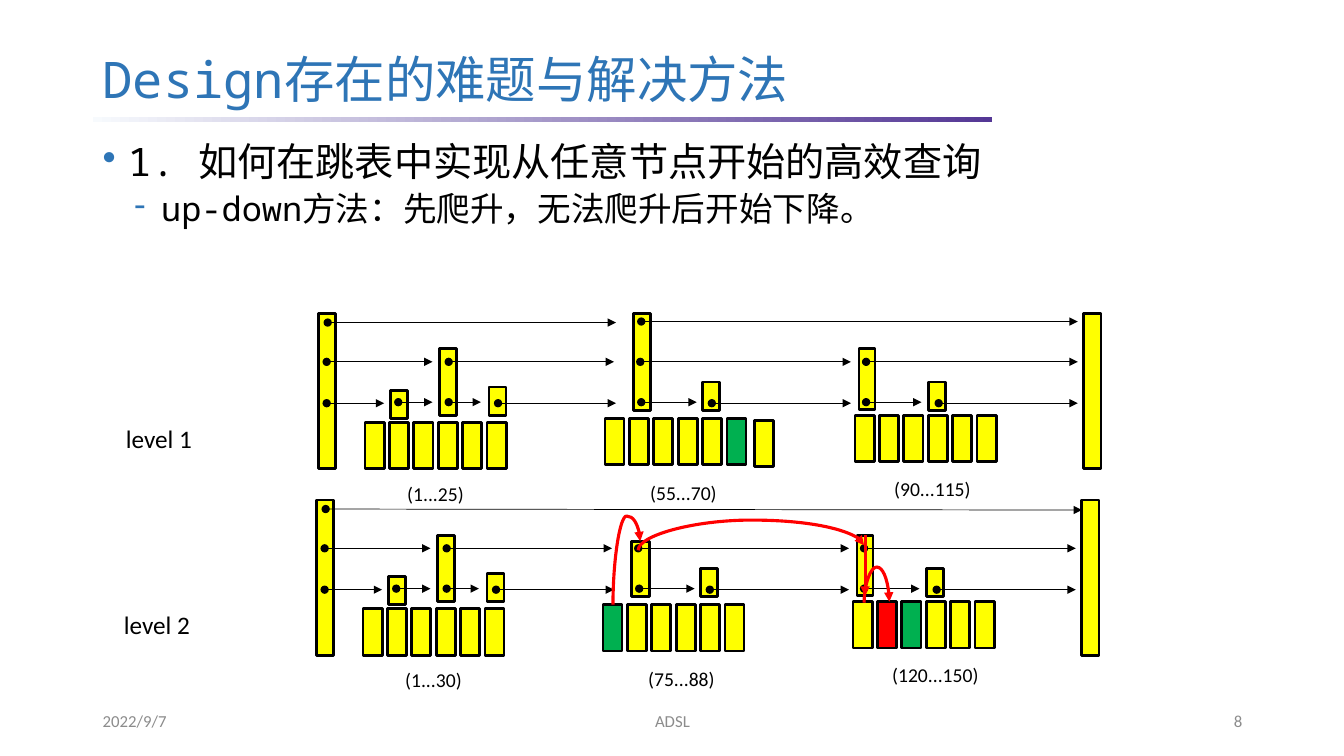
from dataclasses import dataclass

from lxml.etree import SubElement
from pptx import Presentation
from pptx.dml.color import RGBColor
from pptx.enum.lang import MSO_LANGUAGE_ID as Language
from pptx.enum.shapes import MSO_CONNECTOR as Connector, MSO_SHAPE as Preset
from pptx.enum.text import MSO_ANCHOR as Anchor, PP_ALIGN as Align
from pptx.oxml.ns import qn
from pptx.util import Inches, Pt

COLORS = {
    "title": "2E75B6", "text": "000000", "footer": "8C8C8C", "line": "000000",
    "fade": "F7FAFD", "rule": "543795",
    "yellow": "FFFF00", "green": "00B050", "red": "FF0000",
}
MONO, SANS = "Noto Sans Mono", "Calibri"
BLOCK_WIDTH, BLOCK_HEIGHT, BLOCK_PITCH = 0.19, 0.46, 0.242


@dataclass
class Box:
    left: float
    top: float
    width: float
    height: float


@dataclass
class Blocks:
    """A row of six data blocks; colored maps an index to its fill."""
    left: float
    top: float
    label: str
    label_box: Box
    colored: dict[int, str]


@dataclass
class Arrow:
    start_x: float
    end_x: float
    y: float
    drop: float = 0


@dataclass
class Level:
    name: str
    dx: float
    dy: float
    blocks: list[Blocks]
    towers: list[Box]
    arrows: list[Arrow]


@dataclass
class Jump:
    """A curve that climbs from start to peak and comes down at end."""
    start: tuple[float, float]
    end: tuple[float, float]
    peak: float


# Towers and links that both levels share, in level 1 coordinates
SHARED_TOWERS = [
    Box(3.16, 3.11, 0.17, 1.54), Box(10.75, 3.11, 0.17, 1.54),
    Box(4.36, 3.46, 0.17, 0.66), Box(3.87, 3.87, 0.17, 0.28),
    Box(4.85, 3.84, 0.17, 0.28), Box(6.97, 3.79, 0.17, 0.28),
    Box(9.21, 3.79, 0.17, 0.28), Box(8.52, 3.46, 0.16, 0.6),
]
SHARED_LINKS = {
    3.59: [(3.24, 4.29), (4.45, 6.09), (6.35, 8.44), (8.59, 10.69)],
    4.0: [(3.24, 3.81), (4.94, 6.11), (7.06, 8.44), (9.31, 10.69)],
    3.99: [(3.95, 4.29), (4.45, 4.77), (6.36, 6.91), (8.59, 9.14)],
}
SHARED_ARROWS = [Arrow(*span, y) for y, spans in SHARED_LINKS.items() for span in spans]

LEVELS = [
    Level("level 1", 0, 0, [
        Blocks(3.62, 4.19, "(1...25)", Box(3.94, 4.73, 0.88, 0.34), {}),
        Blocks(6, 4.15, "(55...70)", Box(6.35, 4.72, 0.88, 0.34), {5: "green"}),
        Blocks(8.48, 4.12, "(90...115)", Box(8.77, 4.68, 1.02, 0.34), {}),
    ], [Box(6.28, 3.11, 0.17, 0.96)],
        [Arrow(3.25, 6.11, 3.2), Arrow(6.36, 10.69, 3.19)]),
    Level("level 2", -0.02, 1.85, [
        Blocks(3.62, 4.19, "(1...30)", Box(3.94, 4.73, 0.88, 0.34), {}),
        Blocks(6, 4.15, "(75...88)", Box(6.35, 4.72, 0.88, 0.34), {0: "green"}),
        Blocks(8.48, 4.12, "(120...150)", Box(8.77, 4.68, 1.12, 0.34),
               {1: "red", 2: "green"}),
    ], [Box(6.28, 3.52, 0.18, 0.55)], [Arrow(3.25, 10.75, 3.2, 0.01)]),
]
JUMPS = [
    Jump((6.08, 6), (6.35, 5.37), 5.12),
    Jump((6.33, 5.46), (8.57, 5.41), 5.16),
    Jump((8.57, 5.98), (8.82, 5.97), 5.62),
]

presentation = Presentation()
presentation.slide_width, presentation.slide_height = Inches(13.33), Inches(7.5)
slide = presentation.slides.add_slide(presentation.slide_layouts[6])


def rgb(name: str) -> RGBColor:
    return RGBColor.from_string(COLORS[name])


def lengths(box: Box, dx: float = 0, dy: float = 0) -> list[int]:
    return [Inches(v) for v in (box.left + dx, box.top + dy, box.width, box.height)]


def add_text(box: Box, lines: list[str], sizes: list[int], font: str, color: str,
             align=Align.LEFT, anchor=Anchor.TOP, dx: float = 0, dy: float = 0):
    text_frame = slide.shapes.add_textbox(*lengths(box, dx, dy)).text_frame
    text_frame.text = "\n".join(lines)
    text_frame.word_wrap = True
    text_frame.vertical_anchor = anchor
    for paragraph, size in zip(text_frame.paragraphs, sizes):
        paragraph.alignment = align
        run_font = paragraph.runs[0].font
        run_font.name, run_font.size = font, Pt(size)
        run_font.color.rgb = rgb(color)
        run_font.language_id = Language.SIMPLIFIED_CHINESE
    return text_frame


def add_bullet(paragraph, mark: str, margin: float) -> None:
    properties = paragraph._p.get_or_add_pPr()
    properties.set("marL", str(Inches(margin)))
    properties.set("indent", str(Inches(-0.27)))
    color = SubElement(properties, qn("a:buClr"))
    SubElement(color, qn("a:srgbClr"), val=COLORS["title"])
    SubElement(properties, qn("a:buChar"), char=mark)


def add_bar(box: Box, color: str = "yellow", dx: float = 0, dy: float = 0):
    shape = slide.shapes.add_shape(Preset.RECTANGLE, *lengths(box, dx, dy))
    shape.shadow.inherit = False
    shape.fill.solid()
    shape.fill.fore_color.rgb = rgb(color)
    shape.line.color.rgb = rgb("line")
    shape.line.width = Pt(2)
    return shape


def add_line(kind, start: tuple[float, float], end: tuple[float, float],
             color: str, width: float, dot: bool = False):
    connector = slide.shapes.add_connector(kind, *map(Inches, (*start, *end)))
    connector.line.color.rgb = rgb(color)
    connector.line.width = Pt(width)
    line = connector.line._get_or_add_ln()
    if dot:
        SubElement(line, qn("a:headEnd"), type="oval")
    SubElement(line, qn("a:tailEnd"), type="triangle")
    SubElement(connector._element.spPr, qn("a:effectLst"))
    return connector


def add_jump(jump: Jump) -> None:
    (x1, y1), (x2, y2) = jump.start, jump.end
    run, rise = x2 - x1, y1 - y2
    # The curve lies on its side before it is turned by 90 degrees
    left, top = (x1 + x2 - rise) / 2, (y1 + y2 - run) / 2
    connector = add_line(Connector.CURVE, (left, top), (left + rise, top + run), "red", 2.25)
    properties = connector._element.spPr
    for name, value in (("rot", "5400000"), ("flipH", "1"), ("flipV", "1")):
        properties.find(qn("a:xfrm")).set(name, value)
    bend = round((y1 - jump.peak) / rise * 100000)
    guides = properties.find(qn("a:prstGeom")).find(qn("a:avLst"))
    SubElement(guides, qn("a:gd"), name="adj1", fmla=f"val {bend}")


def add_level(level: Level):
    """Draw one skip list level and return its last tower."""
    dx, dy = level.dx, level.dy
    add_text(Box(1.15, 4.15, 0.88, 0.4), [level.name], [18], SANS, "text", dx=dx, dy=dy)
    for row in level.blocks:
        add_text(row.label_box, [row.label], [14], SANS, "text", dx=dx, dy=dy)
        for index in range(6):
            block = Box(row.left + index * BLOCK_PITCH, row.top, BLOCK_WIDTH, BLOCK_HEIGHT)
            add_bar(block, row.colored.get(index, "yellow"), dx, dy)
    towers = [add_bar(tower, dx=dx, dy=dy) for tower in level.towers + SHARED_TOWERS]
    for arrow in level.arrows + SHARED_ARROWS:
        add_line(Connector.STRAIGHT, (arrow.start_x + dx, arrow.y + dy),
                 (arrow.end_x + dx, arrow.y + dy + arrow.drop), "line", 0.5, dot=True)
    return towers[-1]


# Title and its gradient rule
rule = slide.shapes.add_shape(Preset.RECTANGLE, *lengths(Box(0.92, 1.16, 8.92, 0.05)))
rule.shadow.inherit = False
rule.line.fill.background()
rule.fill.gradient()
rule.fill.gradient_angle = 0
for stop, name in zip(rule.fill.gradient_stops, ("fade", "rule")):
    stop.color.rgb = rgb(name)
title = add_text(Box(0.92, 0.47, 8.81, 0.69), ["Design存在的难题与解决方法"], [36],
                 MONO, "title", anchor=Anchor.MIDDLE)
title.paragraphs[0].line_spacing = 0.9

# Bulleted text
body = add_text(Box(0.92, 1.37, 11.5, 5.4),
                ["1. 如何在跳表中实现从任意节点开始的高效查询",
                 "up-down方法：先爬升，无法爬升后开始下降。"], [28, 24], MONO, "text")
for paragraph, mark, margin, space in zip(body.paragraphs, "•‐", (0.25, 0.58), (10, 5)):
    paragraph.line_spacing, paragraph.space_before = 0.9, Pt(space)
    add_bullet(paragraph, mark, margin)
body.paragraphs[1].level = 1

# Footer
for left, width, words, align in ((0.92, 3, "2022/9/7", Align.LEFT),
                                  (4.42, 4.5, "ADSL", Align.CENTER),
                                  (9.42, 3, "8", Align.RIGHT)):
    add_text(Box(left, 6.95, width, 0.4), [words], [12], SANS, "footer", align, Anchor.MIDDLE)

# Skip list levels and the inserted block
last_towers = [add_level(level) for level in LEVELS]
add_bar(Box(7.48, 4.17, BLOCK_WIDTH, BLOCK_HEIGHT))

# Search route: climb, jump across, descend
for jump in JUMPS:
    add_jump(jump)
descent = add_line(Connector.STRAIGHT, (8.58, 5.31), (8.58, 5.91), "red", 2.25)
descent.begin_connect(last_towers[-1], 0)
descent.end_connect(last_towers[-1], 2)

presentation.save("out.pptx")
